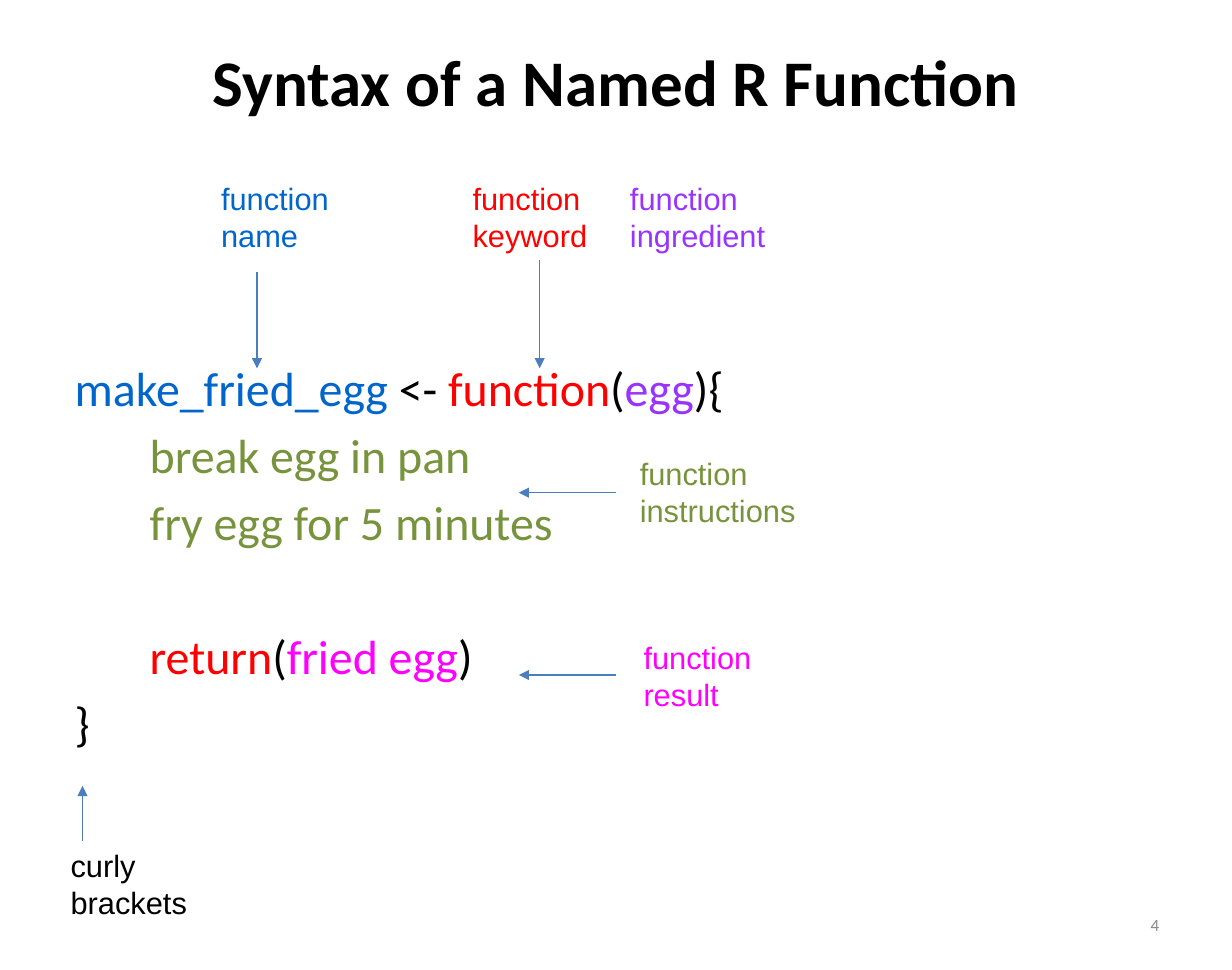
from typing import NamedTuple

from lxml.etree import SubElement
from pptx import Presentation
from pptx.dml.color import RGBColor
from pptx.enum.shapes import MSO_CONNECTOR as Connector
from pptx.enum.text import MSO_ANCHOR as Anchor, PP_ALIGN as Align
from pptx.oxml.ns import qn
from pptx.slide import Slide
from pptx.util import Pt

BLACK = RGBColor(0x00, 0x00, 0x00)
BLUE = RGBColor(0x00, 0x66, 0xCC)
RED = RGBColor(0xFF, 0x00, 0x00)
PURPLE = RGBColor(0x99, 0x33, 0xFF)
GREEN = RGBColor(0x77, 0x93, 0x3C)
MAGENTA = RGBColor(0xFF, 0x00, 0xFF)
GRAY = RGBColor(0x8C, 0x8C, 0x8C)
ARROW_BLUE = RGBColor(0x4B, 0x7E, 0xBC)

CODE_INDENT = 43.8
LINE_GAP = 5.4
BLANK_LINE = 34.2


class Run(NamedTuple):
    text: str
    color: RGBColor


class Line(NamedTuple):
    runs: list[Run]
    indent: float = 0
    space_before: float = 0


class TextBox(NamedTuple):
    left: float
    top: float
    width: float
    height: float
    lines: list[Line]
    font: dict
    align: Align = Align.LEFT
    anchor: Anchor = Anchor.TOP


class Arrow(NamedTuple):
    begin_x: float
    begin_y: float
    end_x: float
    end_y: float


def add_text(slide: Slide, box: TextBox) -> None:
    shape = slide.shapes.add_textbox(
        Pt(box.left), Pt(box.top), Pt(box.width), Pt(box.height))
    frame = shape.text_frame
    settings = {"word_wrap": True, "vertical_anchor": box.anchor,
                "margin_left": Pt(6.8), "margin_right": Pt(6.8),
                "margin_top": Pt(3.4), "margin_bottom": Pt(3.4)}
    for name, value in settings.items():
        setattr(frame, name, value)
    for index, line in enumerate(box.lines):
        paragraph = frame.add_paragraph() if index else frame.paragraphs[0]
        paragraph.alignment = box.align
        if line.space_before:
            paragraph.space_before = Pt(line.space_before)
        if line.indent:
            paragraph._p.get_or_add_pPr().set("marL", str(Pt(line.indent)))
        for text, color in line.runs:
            run = paragraph.add_run()
            run.text = text
            for name, value in box.font.items():
                setattr(run.font, name, value)
            run.font.color.rgb = color


def add_label(slide: Slide, left: float, top: float, width: float,
              color: RGBColor, *texts: str) -> None:
    lines = [Line([Run(text, color)]) for text in texts]
    add_text(slide, TextBox(left, top, width, 51, lines, LABEL_FONT))


def add_arrow(slide: Slide, arrow: Arrow) -> None:
    connector = slide.shapes.add_connector(
        Connector.STRAIGHT, *(Pt(value) for value in arrow))
    connector.line.color.rgb = ARROW_BLUE
    connector.line.width = Pt(0.75)
    SubElement(connector.line._get_or_add_ln(), qn("a:tailEnd"), type="triangle")
    SubElement(connector._element.spPr, qn("a:effectLst"))


TITLE_FONT = {"name": "Calibri", "size": Pt(38), "bold": True}
CODE_FONT = {"name": "Calibri", "size": Pt(28)}
NUMBER_FONT = {"name": "Calibri", "size": Pt(10)}
LABEL_FONT = {"name": "Arial", "size": Pt(18)}

CODE = [
    Line([Run("make_fried_egg ", BLUE), Run("<- ", BLACK), Run("function", RED),
          Run("(", BLACK), Run("egg", PURPLE), Run("){", BLACK)]),
    Line([Run("break egg in pan", GREEN)], CODE_INDENT, LINE_GAP),
    Line([Run("fry egg for 5 minutes", GREEN)], CODE_INDENT, LINE_GAP),
    Line([Run("return", RED), Run("(", BLACK), Run("fried egg", MAGENTA),
          Run(")", BLACK)], CODE_INDENT, 2 * LINE_GAP + BLANK_LINE),
    Line([Run("}", BLACK)], 0, LINE_GAP),
]

BOXES = [
    TextBox(36, 0, 648, 94.3, [Line([Run("Syntax of a Named R Function", BLACK)])],
            TITLE_FONT, Align.CENTER, Anchor.MIDDLE),
    TextBox(36.9, 206.4, 648, 298, CODE, CODE_FONT),
    TextBox(516.2, 525.2, 168, 30.2, [Line([Run("4", GRAY)])],
            NUMBER_FONT, Align.RIGHT, Anchor.MIDDLE),
]

LABELS = [
    (122.4, 101.4, 96.5, BLUE, "function name"),
    (361.4, 101.4, 158.4, PURPLE, "function ingredient"),
    (269.4, 101.4, 97.9, RED, "function", "keyword"),
    (34.5, 491.5, 158.4, BLACK, "curly", "brackets"),
    (367.1, 262.2, 147.6, GREEN, "function instructions"),
    (369.3, 370.2, 158.4, MAGENTA, "function", "result"),
]

ARROWS = [
    Arrow(150.2, 159, 150.2, 215.3),
    Arrow(315.4, 152, 315.4, 215.3),
    Arrow(48.2, 491.5, 48.2, 459.4),
    Arrow(360, 288, 303.2, 288),
    Arrow(360, 394.6, 303.2, 394.6),
]


def main() -> None:
    presentation = Presentation()
    presentation.slide_width = Pt(720)
    presentation.slide_height = Pt(567)
    slide = presentation.slides.add_slide(presentation.slide_layouts[6])
    for box in BOXES:
        add_text(slide, box)
    for label in LABELS:
        add_label(slide, *label)
    for arrow in ARROWS:
        add_arrow(slide, arrow)
    presentation.save("out.pptx")


if __name__ == "__main__":
    main()
